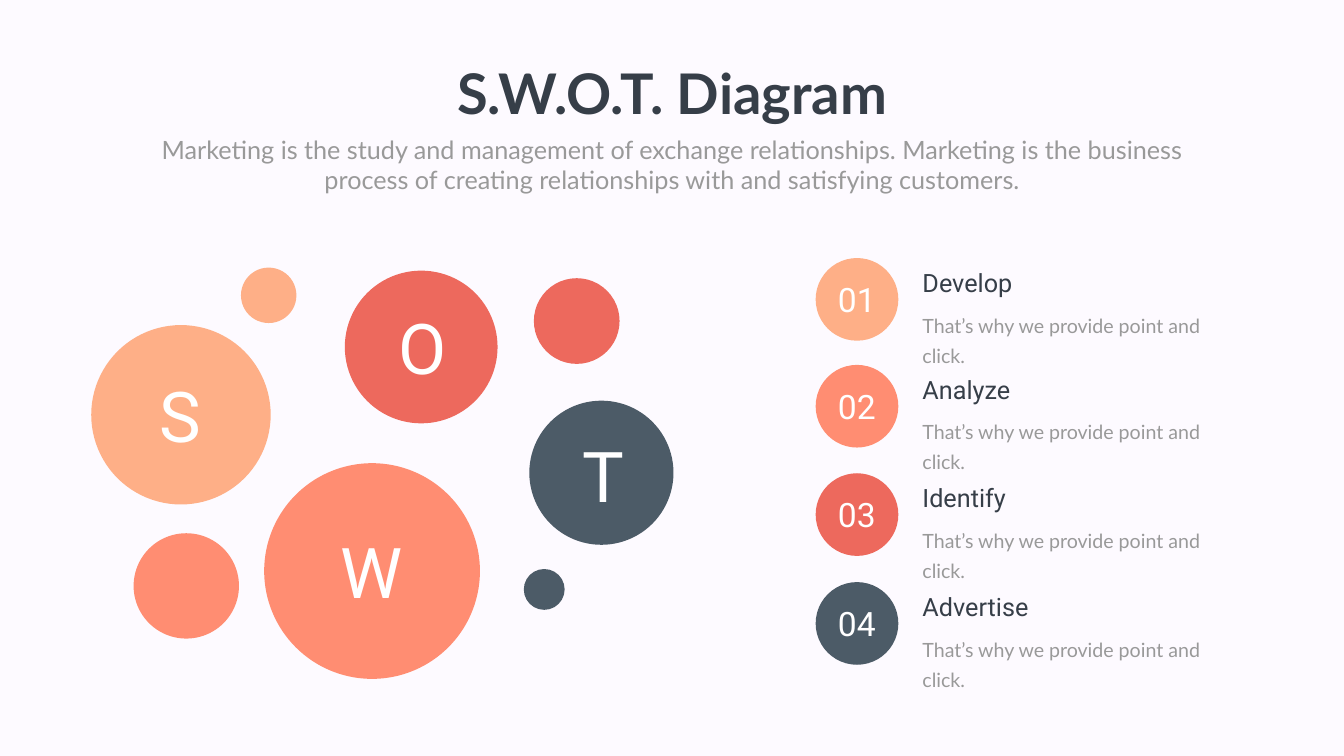
from dataclasses import dataclass

from pptx import Presentation
from pptx.dml.color import RGBColor as Color
from pptx.enum.shapes import MSO_SHAPE as Shape
from pptx.enum.text import MSO_AUTO_SIZE as Fit, PP_ALIGN as Align
from pptx.util import Emu, Pt

PX = 9144


@dataclass(frozen=True)
class Theme:
    back: str = "FDFAFF"
    dark: str = "363E48"
    gray: str = "999999"
    white: str = "FFFFFF"
    peach: str = "FEAF87"
    coral: str = "FF8D72"
    red: str = "ED695D"
    slate: str = "4C5B67"
    head: str = "Lato"
    body: str = "Roboto"
    title: int = 80
    letter: int = 100
    number: int = 48
    lead: int = 36
    note: int = 28
    pitch: int = 43


T = Theme()

BUBBLES = [
    (181, 645, 356, T.peach),
    (478, 531, 110, T.peach),
    (684, 537, 303, T.red),
    (524, 919, 428, T.coral),
    (1039, 1129, 81, T.slate),
    (1050, 795, 286, T.slate),
    (1059, 552, 170, T.red),
    (265, 1058, 209, T.coral),
]
LETTERS = [("S", 275, 734), ("W", 654, 1043), ("O", 754, 599), ("T", 1113, 853)]
STEPS = [
    ("Develop", 512, T.peach),
    ("Analyze", 724, T.coral),
    ("Identify", 939, T.red),
    ("Advertise", 1155, T.slate),
]
NOTE = "That’s why we provide point and click."
INTRO = (
    "Marketing is the study and management of exchange relationships. "
    "Marketing is the business process of creating relationships with "
    "and satisfying customers."
)


def scale(*sizes):
    return [Emu(size * PX) for size in sizes]


def add_disc(group, left, top, size, fill):
    disc = group.shapes.add_shape(Shape.OVAL, *scale(left, top, size, size))
    disc.shadow.inherit = False
    disc.fill.solid()
    disc.fill.fore_color.rgb = Color.from_string(fill)
    disc.line.fill.background()


def add_text(group, text, box, *, size, color, font=T.body, bold=False,
             align=Align.LEFT, pitch=None, wrap=True):
    frame = group.shapes.add_textbox(*scale(*box)).text_frame
    frame.word_wrap = wrap
    frame.auto_size = Fit.SHAPE_TO_FIT_TEXT
    para = frame.paragraphs[0]
    para.alignment = align
    if pitch:
        para.line_spacing = Pt(pitch)
    run = para.add_run()
    run.text = text
    run.font.name = font
    run.font.size = Pt(size)
    run.font.bold = bold
    run.font.color.rgb = Color.from_string(color)


def add_cloud(group):
    for bubble in BUBBLES:
        add_disc(group, *bubble)
    for letter, left, top in LETTERS:
        add_text(group, letter, (left, top, 167, 178), size=T.letter,
                 color=T.white, align=Align.CENTER)


def add_step(group, number, name, top, fill):
    add_disc(group, 1618, top, 164, fill)
    add_text(group, f"{number:02}", (1650, top + 36, 99, 91), size=T.number,
             color=T.white, align=Align.CENTER)
    add_text(group, NOTE, (1820, top + 92, 664, 64), size=T.note,
             color=T.gray, font=T.head, pitch=T.pitch)
    add_text(group, name, (1820, top + 14, 441, 71), size=T.lead,
             color=T.dark)


def add_head(group):
    add_text(group, "S.W.O.T. Diagram", (880, 112, 907, 145), size=T.title,
             color=T.dark, font=T.head, bold=True, align=Align.CENTER,
             wrap=False)
    add_text(group, INTRO, (292, 261, 2082, 131), size=T.lead, color=T.gray,
             font=T.head, align=Align.CENTER)


def main():
    deck = Presentation()
    deck.slide_width, deck.slide_height = scale(2666, 1500)
    slide = deck.slides.add_slide(deck.slide_layouts[6])
    slide.background.fill.solid()
    slide.background.fill.fore_color.rgb = Color.from_string(T.back)

    add_cloud(slide.shapes.add_group_shape())
    steps = slide.shapes.add_group_shape()
    for number, step in enumerate(STEPS, 1):
        add_step(steps, number, *step)
    add_head(slide.shapes.add_group_shape())

    deck.save("out.pptx")


if __name__ == "__main__":
    main()
